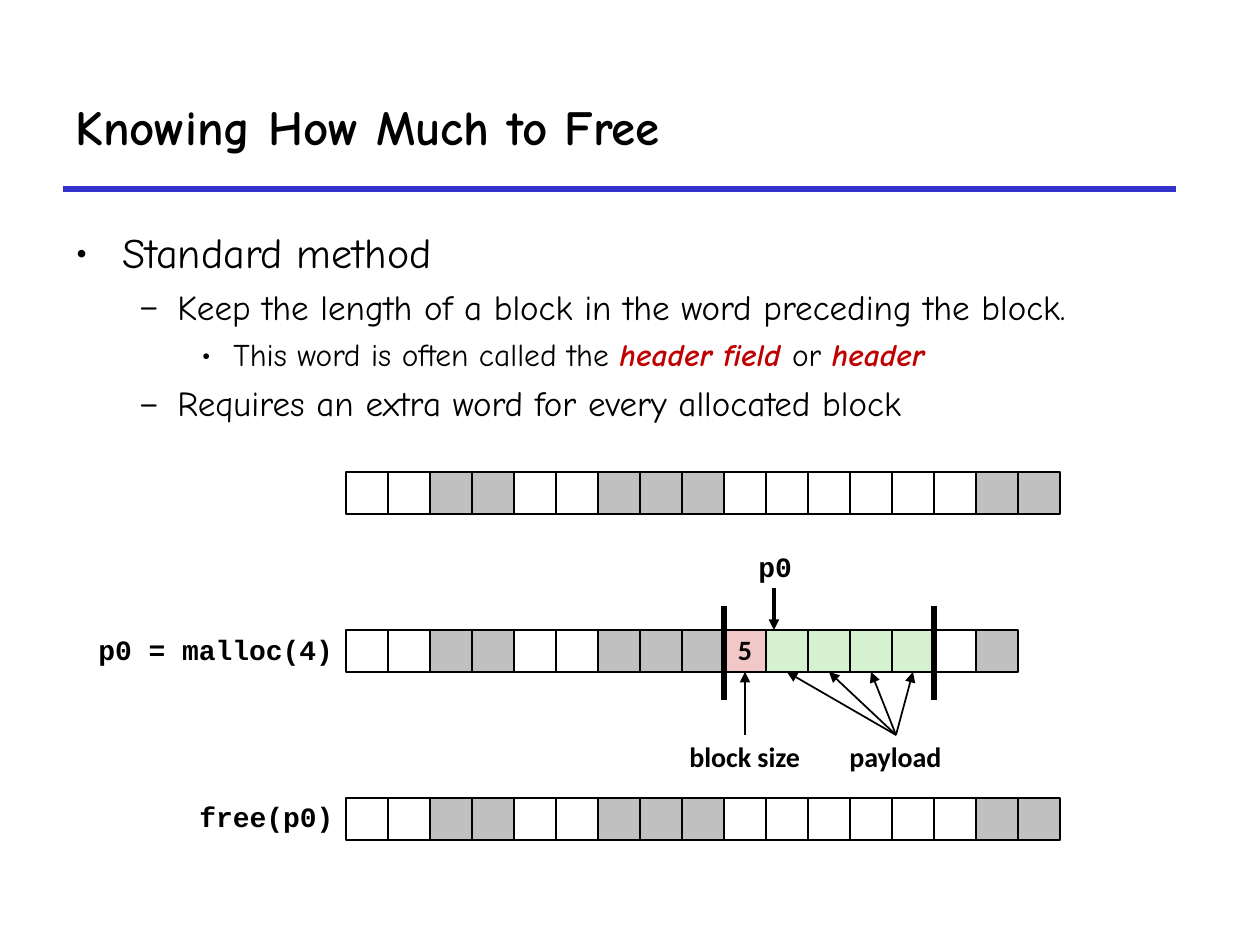
import pptx
import pptx.util
import pptx.dml.color
import pptx.enum.shapes
import pptx.enum.text
import pptx.oxml.ns
from lxml import etree

ALIGN = pptx.enum.text.PP_ALIGN
ANCHOR = pptx.enum.text.MSO_ANCHOR
SHAPE = pptx.enum.shapes.MSO_SHAPE
LINK = pptx.enum.shapes.MSO_CONNECTOR

TITLE = "Knowing How Much to Free"
# Level, then runs of (text, stressed)
POINTS = [
    (0, [("Standard method", False)]),
    (1, [("Keep the length of a block in the word preceding the block.", False)]),
    (2, [("This word is often called the ", False), ("header field ", True),
         ("or ", False), ("header", True)]),
    (1, [("Requires an extra word for every allocated block", False)]),
]
# w free word, g used word, h header, p payload
HEAP = [
    (472, "wwggwwgggwwwwwwgg"),
    (630, "wwggwwggghppppwg"),
    (798, "wwggwwgggwwwwwwgg"),
]
CALLS = [("p0 = malloc(4)", 260, 629), ("free(p0)", 159, 796)]
NOTES = [("block size", 677, 136), ("payload", 837, 117)]

THEME = {
    "w": "FFFFFF", "g": "C0C0C0", "h": "F1C7C7", "p": "D5F1CF",
    "ink": "000000", "rule": "3333CC", "hot": "C00000",
    "hand": "Comic Neue", "mono": "Courier New", "sans": "Calibri",
    "title": 28, "label": 16,
}
# Per level: type size, space before, left margin px, hanging indent px, bullet
LEVELS = [(24, 6, 47, 47, "•"), (20, 5, 102, 39, "–"), (18, 4.5, 158, 32, "•")]

LEFT, CELL = 346, 42
WIDE, HIGH = 1260, 945


def px(n):
    return pptx.util.Emu(round(n * 914400 / 126))


def color(name):
    return pptx.dml.color.RGBColor.from_string(THEME[name])


def node(parent, tag, **attrs):
    return etree.SubElement(parent, pptx.oxml.ns.qn(tag), attrs)


def bullet(para, level):
    size, before, margin, hang, mark = LEVELS[level]
    props = para._p.get_or_add_pPr()
    props.set("marL", str(px(margin)))
    props.set("indent", str(-px(hang)))
    tint = node(props, "a:buClr")
    node(tint, "a:srgbClr", val=THEME["ink"])
    node(props, "a:buFont", typeface=THEME["hand"])
    node(props, "a:buChar", char=mark)
    para.level = level


def write(para, text, font="hand", size=16, bold=False, ital=False,
          ink="ink", align=ALIGN.LEFT, lead=None):
    """Add one run of text to a paragraph."""
    para.alignment = align
    if lead:
        para.line_spacing = lead
    run = para.add_run()
    run.text = text
    face = run.font
    face.name, face.size = THEME[font], pptx.util.Pt(size)
    face.bold, face.italic = bold, ital
    face.color.rgb = color(ink)


def label(slide, text, x, y, w, h=44, font="mono", lead=0.94):
    box = slide.shapes.add_textbox(px(x), px(y), px(w), px(h))
    box.text_frame.word_wrap = False
    write(box.text_frame.paragraphs[0], text, font=font,
          size=THEME["label"], bold=True, lead=lead)


def line(slide, x1, y1, x2, y2, width=1, ink="ink", arrow=False, goal=None):
    """Draw a line; goal is a shape whose bottom side it ends on."""
    link = slide.shapes.add_connector(
        LINK.STRAIGHT, px(x1), px(y1), px(x2), px(y2))
    if goal is not None:
        link.end_connect(goal, 2)
    link.line.color.rgb = color(ink)
    link.line.width = pptx.util.Pt(width)
    if arrow:
        node(link.line._get_or_add_ln(), "a:tailEnd", type="triangle")
    node(link._element.spPr, "a:effectLst")


def row(slide, top, kinds):
    cells = []
    for i, kind in enumerate(kinds):
        cell = slide.shapes.add_shape(
            SHAPE.RECTANGLE, px(LEFT + i * CELL), px(top), px(CELL), px(CELL))
        cell.shadow.inherit = False
        cell.fill.solid()
        cell.fill.fore_color.rgb = color(kind)
        cell.line.color.rgb = color("ink")
        cell.line.width = pptx.util.Pt(1)
        cells.append(cell)
    return cells


def heading(slide):
    title = slide.shapes.title
    title.left, title.top = px(63), px(63)
    title.width, title.height = px(1113), px(126)
    frame = title.text_frame
    frame.auto_size = pptx.enum.text.MSO_AUTO_SIZE.NONE
    frame.vertical_anchor = ANCHOR.MIDDLE
    write(frame.paragraphs[0], TITLE, size=THEME["title"], bold=True)
    line(slide, 63, 189, 1176, 189, width=3, ink="rule")


def points(slide):
    frame = slide.shapes.add_textbox(
        px(63), px(220), px(1144), px(609)).text_frame
    frame.word_wrap = True
    for i, (level, runs) in enumerate(POINTS):
        para = frame.add_paragraph() if i else frame.paragraphs[0]
        bullet(para, level)
        size, before = LEVELS[level][:2]
        if i:
            para.space_before = pptx.util.Pt(before)
        for text, hot in runs:
            write(para, text, size=size, bold=hot, ital=hot,
                  ink="hot" if hot else "ink")


def heap(slide):
    rows = [row(slide, top, kinds) for top, kinds in HEAP]
    top, kinds = HEAP[1]
    head, end = kinds.index("h"), kinds.rindex("p") + 1

    size = rows[1][head].text_frame
    size.word_wrap = False
    size.vertical_anchor = ANCHOR.MIDDLE
    write(size.paragraphs[0], "5", font="sans", size=THEME["label"],
          bold=True, align=ALIGN.CENTER, lead=0.98)

    for edge in (head, end):
        x = LEFT + edge * CELL
        line(slide, x, top - 24, x, top + 70, width=3)

    for text, width, y in CALLS:
        label(slide, text, LEFT - width, y, width)
    label(slide, "p0", 746, 546, 64)
    line(slide, 774, 588, 774, top, width=2, arrow=True)

    foot = top + CELL
    for text, x, width in NOTES:
        label(slide, text, x, 735, width, h=45, font="sans", lead=0.98)
    for i in range(head, end):
        start = 745 if i == head else 896
        line(slide, start, 735, LEFT + (i + 0.5) * CELL, foot,
             arrow=True, goal=rows[1][i])


def main():
    deck = pptx.Presentation()
    deck.slide_width, deck.slide_height = px(WIDE), px(HIGH)
    slide = deck.slides.add_slide(deck.slide_layouts[5])
    heading(slide)
    points(slide)
    heap(slide)
    deck.save("out.pptx")


if __name__ == "__main__":
    main()
